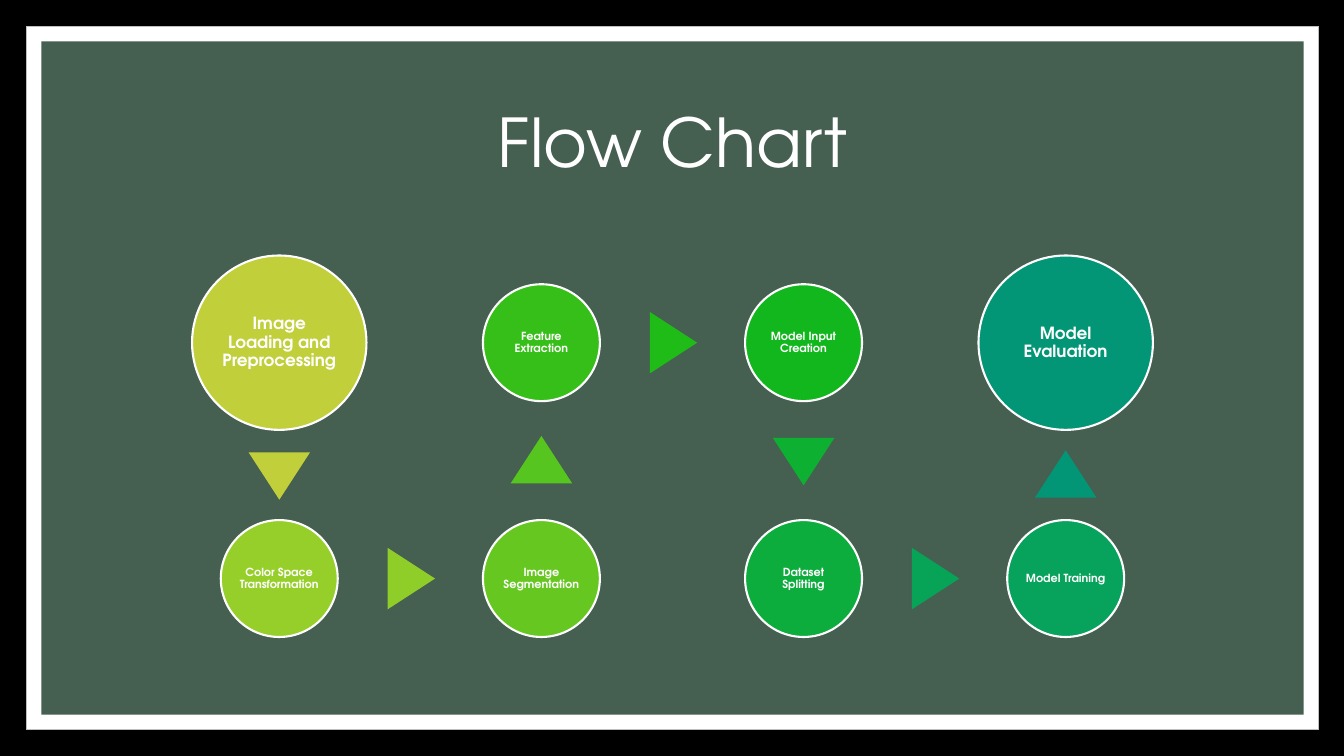
"""Build the flow chart slide: eight steps joined by arrowheads."""
from pptx import Presentation
from pptx.dml.color import RGBColor
from pptx.enum.shapes import MSO_SHAPE
from pptx.enum.text import MSO_ANCHOR, PP_ALIGN
from pptx.util import Inches, Pt

RECTANGLE, OVAL, TRIANGLE = MSO_SHAPE.RECTANGLE, MSO_SHAPE.OVAL, MSO_SHAPE.ISOSCELES_TRIANGLE
MIDDLE, CENTER = MSO_ANCHOR.MIDDLE, PP_ALIGN.CENTER

FIRST_COLUMN, COLUMN_STEP = 2.77, 2.6
ROWS = (3.4, 5.74)
LARGE = {"diameter": 1.73, "size": 12, "inset": 0.02}
SMALL = {"diameter": 1.16, "size": 8, "inset": 0.01}
ARROW_WIDTH, ARROW_HEIGHT, ARROW_SHIFT = 0.61, 0.47, 0.01

STEPS = (
    (0, 0, LARGE, "Image Loading and Preprocessing", "C0CF3A"),
    (0, 1, SMALL, "Color Space Transformation", "97CF2A"),
    (1, 1, SMALL, "Image Segmentation", "67C721"),
    (1, 0, SMALL, "Feature Extraction", "37BF19"),
    (2, 0, SMALL, "Model Input Creation", "12B61D"),
    (2, 1, SMALL, "Dataset Splitting", "0CAC3D"),
    (3, 1, SMALL, "Model Training", "07A25B"),
    (3, 0, LARGE, "Model Evaluation", "029676"),
)
ARROW_COLORS = ("C0CF3A", "8FCD29", "57C51F", "1FBB16", "0EB032", "07A356", "029676")


def color(value):
    return RGBColor.from_string(value)


class FlowSlide:
    """Hold the text style and the slide, and add each kind of element."""

    font = {"name": "TeX Gyre Adventor"}
    text_color = "FFFFFF"

    def __init__(self, slide, background):
        self.slide = slide
        slide.background.fill.solid()
        slide.background.fill.fore_color.rgb = color(background)

    def shape(self, kind, x, y, width, height, fill, line=None, weight=0):
        shape = self.slide.shapes.add_shape(
            kind, Inches(x), Inches(y), Inches(width), Inches(height))
        shape.shadow.inherit = False
        shape.fill.solid()
        shape.fill.fore_color.rgb = color(fill)
        if line:
            shape.line.color.rgb = color(line)
            shape.line.width = Pt(weight)
        else:
            shape.line.fill.background()
        return shape

    def label(self, frame, text, size, bold, inset):
        margins = dict.fromkeys(
            ("margin_left", "margin_top", "margin_right", "margin_bottom"), Inches(inset))
        paragraph = frame.paragraphs[0]
        run = paragraph.add_run()
        run.text = text
        formats = (
            (frame, {"word_wrap": True, "vertical_anchor": MIDDLE, **margins}),
            (paragraph, {"alignment": CENTER, "line_spacing": 0.9}),
            (run.font, {**self.font, "size": Pt(size), "bold": bold}),
        )
        for target, values in formats:
            for name, value in values.items():
                setattr(target, name, value)
        run.font.color.rgb = color(self.text_color)

    def title(self, text, x, y, width, height):
        box = self.slide.shapes.add_textbox(
            Inches(x), Inches(y), Inches(width), Inches(height))
        self.label(box.text_frame, text, 48, False, 0.1)

    def step(self, x, y, look, text, fill):
        diameter = look["diameter"]
        circle = self.shape(OVAL, x - diameter / 2, y - diameter / 2,
                            diameter, diameter, fill, "FFFFFF", 1.5)
        self.label(circle.text_frame, text, look["size"], True, look["inset"])

    def arrow(self, x, y, rotation, fill):
        head = self.shape(TRIANGLE, x - ARROW_WIDTH / 2, y - ARROW_HEIGHT / 2,
                          ARROW_WIDTH, ARROW_HEIGHT, fill)
        head.rotation = rotation


def gap_center(start, end, start_size, end_size):
    direction = 1 if end > start else -1
    edges = start + direction * start_size / 2, end - direction * end_size / 2
    return sum(edges) / 2 + direction * ARROW_SHIFT


def main():
    deck = Presentation()
    deck.slide_width, deck.slide_height = Inches(13.33), Inches(7.5)
    flow = FlowSlide(deck.slides.add_slide(deck.slide_layouts[6]), "000000")
    flow.shape(RECTANGLE, 0.26, 0.26, 12.82, 6.98, "FFFFFF", "BFBFBF", 0.5)
    flow.shape(RECTANGLE, 0.41, 0.41, 12.52, 6.68, "455F51")
    flow.title("Flow Chart", 1.17, 0.7, 11, 1.5)

    placed = [(FIRST_COLUMN + column * COLUMN_STEP, ROWS[row], look, text, fill)
              for column, row, look, text, fill in STEPS]
    for step in placed:
        flow.step(*step)
    for start, end, fill in zip(placed, placed[1:], ARROW_COLORS):
        x, y, look = start[:3]
        next_x, next_y, next_look = end[:3]
        sizes = look["diameter"], next_look["diameter"]
        if y == next_y:
            flow.arrow(gap_center(x, next_x, *sizes), y, 90, fill)
        else:
            rotation = 180 if next_y > y else 0
            flow.arrow(x, gap_center(y, next_y, *sizes), rotation, fill)
    deck.save("out.pptx")


if __name__ == "__main__":
    main()
